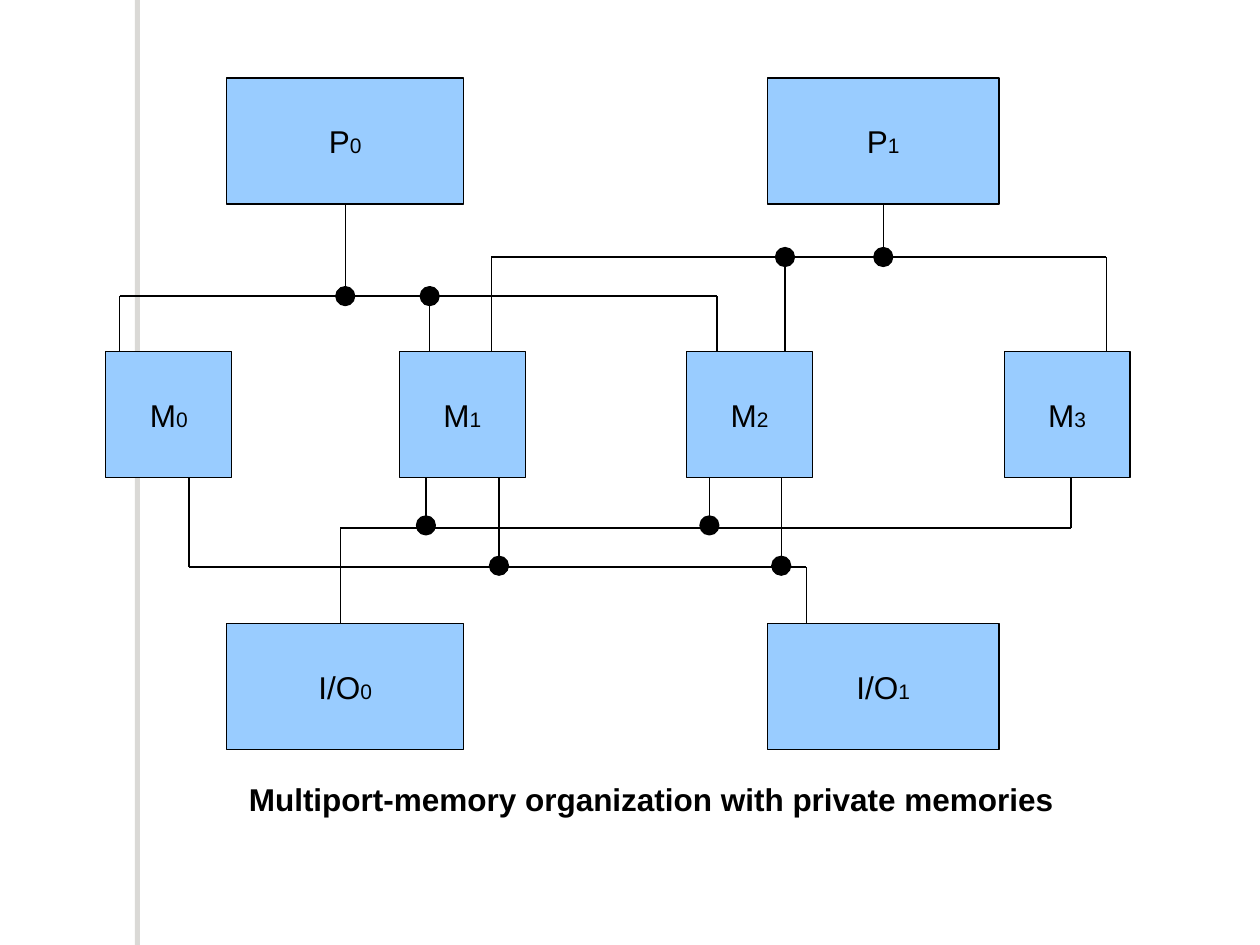
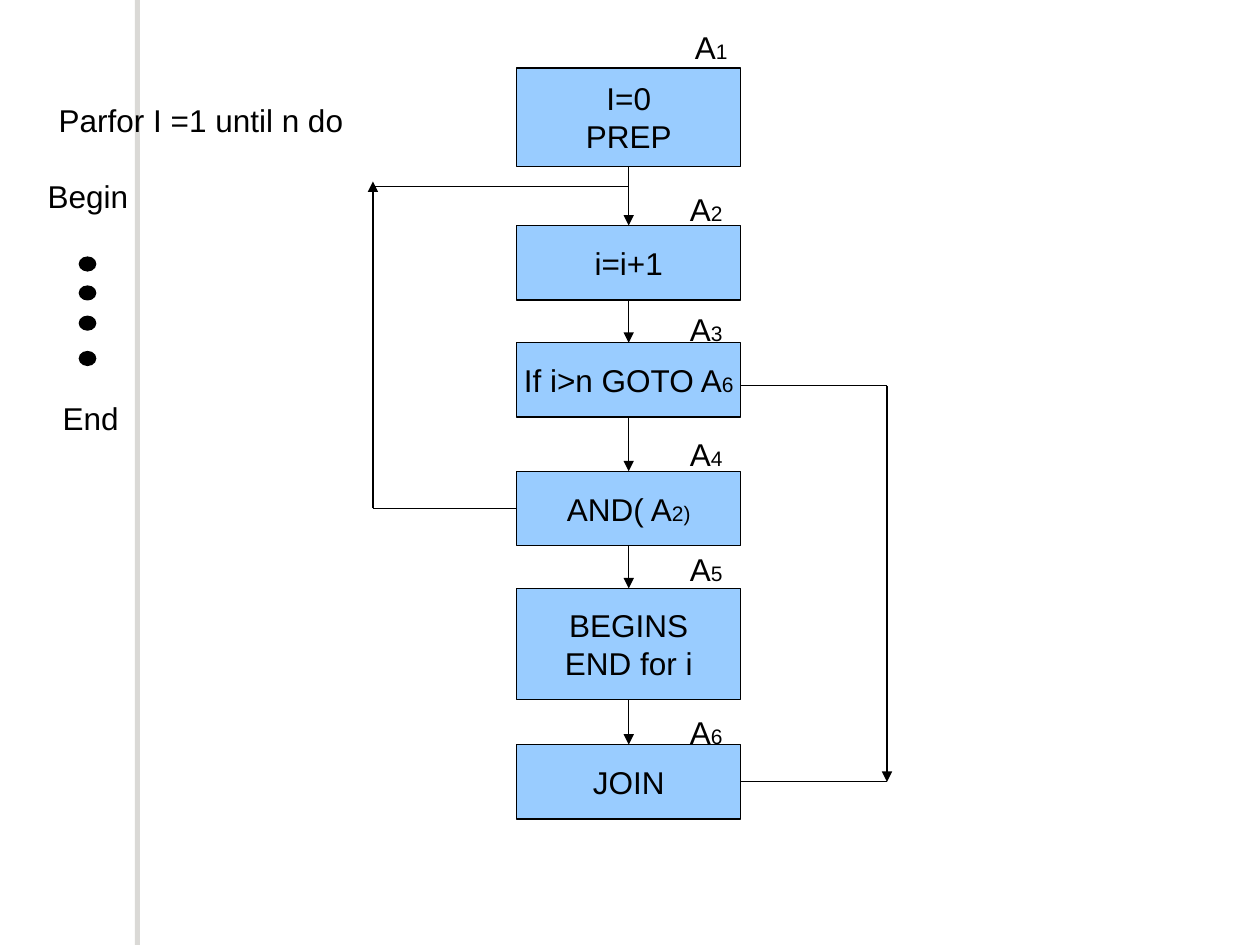
"""Build two diagram slides: multiport memory wiring and a parallel loop flowchart."""
from lxml import etree
from pptx import Presentation
from pptx.dml.color import RGBColor
from pptx.enum import shapes, text
from pptx.oxml import ns
from pptx.util import Inches, Pt

COLORS = {"box": "99CCFF", "ink": "000000", "band": "DAD9D6"}
FONT = "Arial"
TEXT_SIZE, SUBSCRIPT_SIZE = 18, 12
LINE_WIDTH = 0.75
TOP, LEFT, BOTTOM, RIGHT = range(4)

CAPTION = "Multiport-memory organization with private memories"
PROCESSOR_TOP, MEMORY_TOP, IO_TOP, UNIT_HEIGHT = 0.62, 2.79, 4.95, 1
UNITS = [
    ("P", "0", 1.8, PROCESSOR_TOP, 1.88), ("P", "1", 6.09, PROCESSOR_TOP, 1.84),
    ("M", "0", 0.84, MEMORY_TOP, 1), ("M", "1", 3.17, MEMORY_TOP, 1),
    ("M", "2", 5.45, MEMORY_TOP, 1), ("M", "3", 7.97, MEMORY_TOP, 1),
    ("I/O", "0", 1.8, IO_TOP, 1.88), ("I/O", "1", 6.09, IO_TOP, 1.84),
]
PROCESSOR_BUSES = [
    {"unit": "P0", "y": 2.35, "memory_taps": [0.95, 3.41, 5.69], "dot_y": 2.35},
    {"unit": "P1", "y": 2.04, "memory_taps": [3.9, 6.23, 8.78], "dot_y": 2.04},
]
IO_BUSES = [
    {"tap": 2.7, "y": 4.19, "memory_taps": [3.38, 5.63, 8.5], "dot_y": 4.17},
    {"tap": 6.4, "y": 4.5, "memory_taps": [1.5, 3.96, 6.2], "dot_y": 4.49},
]
JUNCTION_SIZE = 0.15

STEP_LEFT, STEP_WIDTH = 4.1, 1.78
STEPS = [
    {"top": 0.54, "height": 0.78, "lines": [("I=0", ""), ("PREP", "")], "label": (5.31, 0.17)},
    {"top": 1.79, "height": 0.59, "lines": [("i=i+1", "")], "label": (5.27, 1.46)},
    {"top": 2.72, "height": 0.59, "lines": [("If i>n GOTO A", "6")], "label": (5.27, 2.41)},
    {"top": 3.74, "height": 0.59, "lines": [("AND( A", "2)")], "label": (5.27, 3.4)},
    {"top": 4.67, "height": 0.88, "lines": [("BEGINS", ""), ("END for i", "")], "label": (5.27, 4.32)},
    {"top": 5.91, "height": 0.59, "lines": [("JOIN", "")], "label": (5.27, 5.61)},
]
LOOP_X, LOOP_Y, LOOP_TIP = 2.96, 1.48, 1.44
EXIT_X, EXIT_Y = 7.04, 3.06
LOOP_DOT_TOPS = [2.04, 2.27, 2.51, 2.79]


def color(name):
    return RGBColor.from_string(COLORS[name])


def add_run(paragraph, content, size=TEXT_SIZE, bold=False):
    run = paragraph.add_run()
    run.text = content
    run.font.name, run.font.size, run.font.bold = FONT, Pt(size), bold
    run.font.color.rgb = color("ink")


def write(frame, lines, bold=False):
    for number, (main, subscript) in enumerate(lines):
        paragraph = frame.add_paragraph() if number else frame.paragraphs[0]
        paragraph.alignment = text.PP_ALIGN.CENTER
        add_run(paragraph, main, bold=bold)
        if subscript:
            add_run(paragraph, subscript, SUBSCRIPT_SIZE, bold)


def add_shape(slide, kind, left, top, width, height, fill, outlined=True):
    shape = slide.shapes.add_shape(kind, Inches(left), Inches(top), Inches(width), Inches(height))
    shape.shadow.inherit = False
    shape.fill.solid()
    shape.fill.fore_color.rgb = color(fill)
    if outlined:
        shape.line.color.rgb = color("ink")
        shape.line.width = Pt(LINE_WIDTH)
    else:
        shape.line.fill.background()
    return shape


def add_box(slide, left, top, width, height, lines):
    box = add_shape(slide, shapes.MSO_SHAPE.RECTANGLE, left, top, width, height, "box")
    box.text_frame.word_wrap = False
    box.text_frame.vertical_anchor = text.MSO_ANCHOR.MIDDLE
    write(box.text_frame, lines)
    return box


def add_dot(slide, left, top, width, height):
    add_shape(slide, shapes.MSO_SHAPE.OVAL, left, top, width, height, "ink")


def add_text(slide, left, top, width, height, lines):
    frame = slide.shapes.add_textbox(
        Inches(left), Inches(top), Inches(width), Inches(height)).text_frame
    frame.word_wrap = True
    write(frame, lines)
    return frame


def add_line(slide, start, end, arrow=False, begin=None, finish=None):
    line = slide.shapes.add_connector(
        shapes.MSO_CONNECTOR.STRAIGHT, *(Inches(value) for value in (*start, *end)))
    line.line.color.rgb = color("ink")
    line.line.width = Pt(LINE_WIDTH)
    if begin:
        line.begin_connect(*begin)
    if finish:
        line.end_connect(*finish)
    if arrow:
        etree.SubElement(line.line._get_or_add_ln(), ns.qn("a:tailEnd"), type="triangle")
    etree.SubElement(line.element.spPr, ns.qn("a:effectLst"))


def add_slide(presentation, layout):
    slide = presentation.slides.add_slide(presentation.slide_layouts.get_by_name(layout))
    add_shape(slide, shapes.MSO_SHAPE.RECTANGLE, 1.07, 0, 0.04, 7.5, "band", outlined=False)
    return slide


def add_bus(slide, bus, unit_x, memory_edge):
    taps = sorted([unit_x, *bus["memory_taps"]])
    add_line(slide, (taps[0], bus["y"]), (taps[-1], bus["y"]))
    for x in bus["memory_taps"]:
        add_line(slide, (x, memory_edge), (x, bus["y"]))
    for x in taps[1:-1]:
        add_dot(slide, x - JUNCTION_SIZE / 2, bus["dot_y"] - JUNCTION_SIZE / 2,
                JUNCTION_SIZE, JUNCTION_SIZE)


def build_memory_slide(presentation):
    slide = add_slide(presentation, "Title Only")
    boxes, centers = {}, {}
    for name, index, left, top, width in UNITS:
        boxes[name + index] = add_box(slide, left, top, width, UNIT_HEIGHT, [(name, index)])
        centers[name + index] = left + width / 2

    for bus in PROCESSOR_BUSES:
        x = centers[bus["unit"]]
        add_line(slide, (x, PROCESSOR_TOP + UNIT_HEIGHT), (x, bus["y"]),
                 begin=(boxes[bus["unit"]], BOTTOM))
        add_bus(slide, bus, x, MEMORY_TOP)
    for bus in IO_BUSES:
        add_line(slide, (bus["tap"], bus["y"]), (bus["tap"], IO_TOP))
        add_bus(slide, bus, bus["tap"], MEMORY_TOP + UNIT_HEIGHT)

    title = slide.shapes.title
    title.left, title.top, title.width, title.height = (
        Inches(value) for value in (0.42, 6.14, 9.5, 0.4))
    title.text_frame.vertical_anchor = text.MSO_ANCHOR.TOP
    write(title.text_frame, [(CAPTION, "")], bold=True)


def build_loop_slide(presentation):
    slide = add_slide(presentation, "Blank")
    boxes = [add_box(slide, STEP_LEFT, step["top"], STEP_WIDTH, step["height"], step["lines"])
             for step in STEPS]
    center, right = STEP_LEFT + STEP_WIDTH / 2, STEP_LEFT + STEP_WIDTH
    middles = [step["top"] + step["height"] / 2 for step in STEPS]

    for number, (step, following) in enumerate(zip(STEPS, STEPS[1:])):
        add_line(slide, (center, step["top"] + step["height"]), (center, following["top"]),
                 arrow=True, begin=(boxes[number], BOTTOM), finish=(boxes[number + 1], TOP))

    add_line(slide, (STEP_LEFT, middles[3]), (LOOP_X, middles[3]), begin=(boxes[3], LEFT))
    add_line(slide, (LOOP_X, middles[3]), (LOOP_X, LOOP_TIP), arrow=True)
    add_line(slide, (center, LOOP_Y), (LOOP_X, LOOP_Y))
    add_line(slide, (right, EXIT_Y), (EXIT_X, EXIT_Y))
    add_line(slide, (EXIT_X, EXIT_Y), (EXIT_X, middles[5]), arrow=True)
    add_line(slide, (right, middles[5]), (EXIT_X, middles[5]), begin=(boxes[5], RIGHT))

    for number, step in enumerate(STEPS, 1):
        add_text(slide, *step["label"], 0.67, 0.4, [("A", str(number))])

    frame = add_text(slide, -0.06, 0.75, 3.31, 1, [("Parfor I =1 until n do", ""), ("Begin", "")])
    begin = frame.paragraphs[1]
    begin.alignment = text.PP_ALIGN.LEFT
    begin.space_before = Pt(22)
    begin._p.get_or_add_pPr().set("marL", str(Inches(0.34)))
    for top in LOOP_DOT_TOPS:
        add_dot(slide, 0.63, top, 0.13, 0.11)
    add_text(slide, 0.23, 3.12, 0.98, 0.4, [("End", "")])


def main():
    presentation = Presentation()
    presentation.slide_width, presentation.slide_height = Inches(10), Inches(7.5)
    build_memory_slide(presentation)
    build_loop_slide(presentation)
    presentation.save("out.pptx")


if __name__ == "__main__":
    main()
